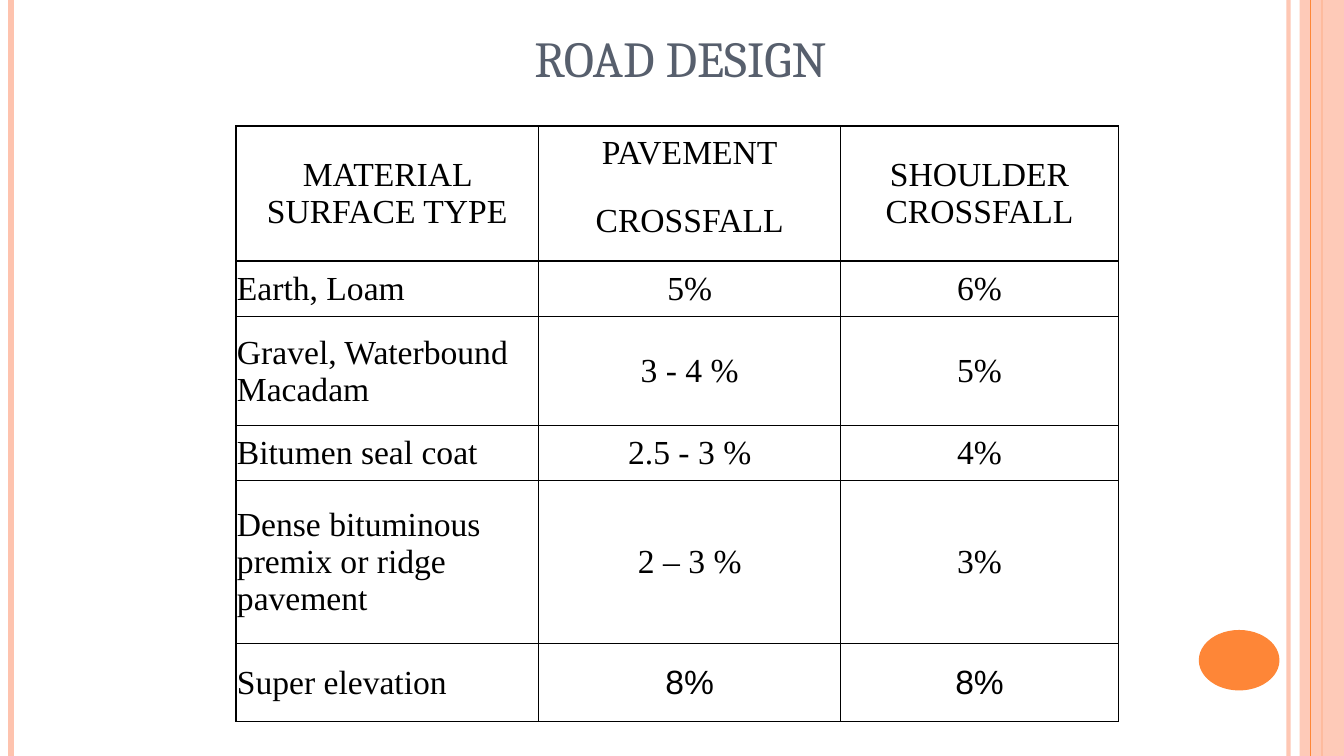
from dataclasses import dataclass

from lxml import etree
from pptx import Presentation
from pptx.dml.color import RGBColor
from pptx.enum.shapes import MSO_CONNECTOR, MSO_SHAPE
from pptx.enum.text import MSO_ANCHOR, PP_ALIGN
from pptx.oxml.ns import qn
from pptx.util import Emu, Pt

PX = 9144  # 100 px to the inch
STRAIGHT = MSO_CONNECTOR.STRAIGHT
RECT, OVAL = MSO_SHAPE.RECTANGLE, MSO_SHAPE.OVAL
LEFT, CENTER = PP_ALIGN.LEFT, PP_ALIGN.CENTER
MIDDLE, BOTTOM = MSO_ANCHOR.MIDDLE, MSO_ANCHOR.BOTTOM

BLACK = RGBColor(0x00, 0x00, 0x00)
PEACH = RGBColor(0xFE, 0xC3, 0xAE)
ORANGE = RGBColor(0xFE, 0x86, 0x37)
SLATE = RGBColor(0x57, 0x5F, 0x6D)
SERIF, SANS, TITLE_FONT = "Times New Roman", "Arial", "Cambria"

SLIDE_W, SLIDE_H = 1333, 750
COLUMNS = (300, 300, 275)


@dataclass(frozen=True)
class Stripe:
    x: int
    width: float
    color: RGBColor
    alpha: int = 100


@dataclass(frozen=True)
class Row:
    height: int
    texts: tuple[str, str, str]
    value_font: str = SERIF


LEFT_STRIPES = (Stripe(1278, 3, PEACH, 93), Stripe(11, 4.5, PEACH),
                Stripe(1311, 1.5, ORANGE))
TOP_STRIPE = Stripe(1300, 0.75, ORANGE)

HEADER_ROWS = 2
ROWS = (
    Row(53, ("MATERIAL SURFACE TYPE", "PAVEMENT", "SHOULDER CROSSFALL")),
    Row(55, ("", "CROSSFALL", "")),
    Row(55, ("Earth, Loam", "5%", "6%")),
    Row(108, ("Gravel, Waterbound Macadam", "3 - 4 %", "5%")),
    Row(55, ("Bitumen seal coat", "2.5 - 3 %", "4%")),
    Row(161, ("Dense bituminous premix or ridge pavement", "2 – 3 %", "3%")),
    Row(78, ("Super elevation", "8%", "8%"), SANS),
)


def px(n: int) -> Emu:
    return Emu(n * PX)


def set_alpha(element, percent: int) -> None:
    color = next(element.iter(qn("a:srgbClr")))
    etree.SubElement(color, qn("a:alpha"), val=str(percent * 1000))


def add_stripe(slide, stripe: Stripe) -> None:
    s = slide.shapes.add_connector(STRAIGHT, px(stripe.x), 0, px(stripe.x), px(SLIDE_H))
    s.line.width = Pt(stripe.width)
    s.line.color.rgb = stripe.color
    if stripe.alpha < 100:
        set_alpha(s.line._ln, stripe.alpha)
    etree.SubElement(s._element.spPr, qn("a:effectLst"))


def add_block(slide, kind, x: int, y: int, w: int, h: int, color: RGBColor,
              alpha: int = 100) -> None:
    s = slide.shapes.add_shape(kind, px(x), px(y), px(w), px(h))
    s.shadow.inherit = False
    s.fill.solid()
    s.fill.fore_color.rgb = color
    s.line.fill.background()
    if alpha < 100:
        set_alpha(s._element.spPr, alpha)


def add_title(slide, text: str) -> None:
    tf = slide.shapes.add_textbox(px(200), px(34), px(950), px(58)).text_frame
    tf.word_wrap = True
    tf.vertical_anchor = BOTTOM
    p = tf.paragraphs[0]
    p.text = text
    p.alignment = CENTER
    p.font.name, p.font.size = TITLE_FONT, Pt(36)
    p.font.color.rgb = SLATE


def set_borders(cell, hidden: str) -> None:
    tc_pr = cell._tc.get_or_add_tcPr()
    for i, side in enumerate("LRTB"):
        ln = etree.Element(qn(f"a:ln{side}"), w=str(Pt(1)))
        if side == hidden:
            etree.SubElement(ln, qn("a:noFill"))
        else:
            fill = etree.SubElement(ln, qn("a:solidFill"))
            etree.SubElement(fill, qn("a:srgbClr"), val=str(BLACK))
        tc_pr.insert(i, ln)


def fill_cell(cell, text: str, font: str, align, hidden: str) -> None:
    cell.margin_left = cell.margin_right = cell.margin_top = px(1)
    cell.margin_bottom = 0
    cell.vertical_anchor = MIDDLE
    cell.fill.background()
    set_borders(cell, hidden)
    p = cell.text_frame.paragraphs[0]
    p.text = text
    p.alignment = align
    p.font.name, p.font.size = font, Pt(24)
    p.font.color.rgb = BLACK


def add_crossfall_table(slide) -> None:
    height = sum(row.height for row in ROWS)
    table = slide.shapes.add_table(len(ROWS), len(COLUMNS), px(234), px(125),
                                   px(sum(COLUMNS)), px(height)).table
    table.first_row = table.horz_banding = False
    for column, width in zip(table.columns, COLUMNS):
        column.width = px(width)
    for r, row in enumerate(ROWS):
        table.rows[r].height = px(row.height)
        for c, text in enumerate(row.texts):
            is_label = c == 0 and r >= HEADER_ROWS
            font = SERIF if c == 0 else row.value_font
            # No rule between the two header rows
            hidden = {0: "B", 1: "T"}.get(r, "") if c == 1 else ""
            fill_cell(table.cell(r, c), text, font, LEFT if is_label else CENTER, hidden)
    for c in (0, 2):
        table.cell(0, c).merge(table.cell(HEADER_ROWS - 1, c))


def main() -> None:
    prs = Presentation()
    prs.slide_width, prs.slide_height = px(SLIDE_W), px(SLIDE_H)
    slide = prs.slides.add_slide(prs.slide_layouts[6])

    # Side decoration
    for stripe in LEFT_STRIPES:
        add_stripe(slide, stripe)
    add_block(slide, RECT, 1289, 0, 44, SLIDE_H, PEACH, 87)
    add_stripe(slide, TOP_STRIPE)
    add_block(slide, OVAL, 1189, 625, 80, 60, ORANGE)

    # Content
    add_title(slide, "ROAD DESIGN")
    add_crossfall_table(slide)

    prs.save("out.pptx")


if __name__ == "__main__":
    main()
